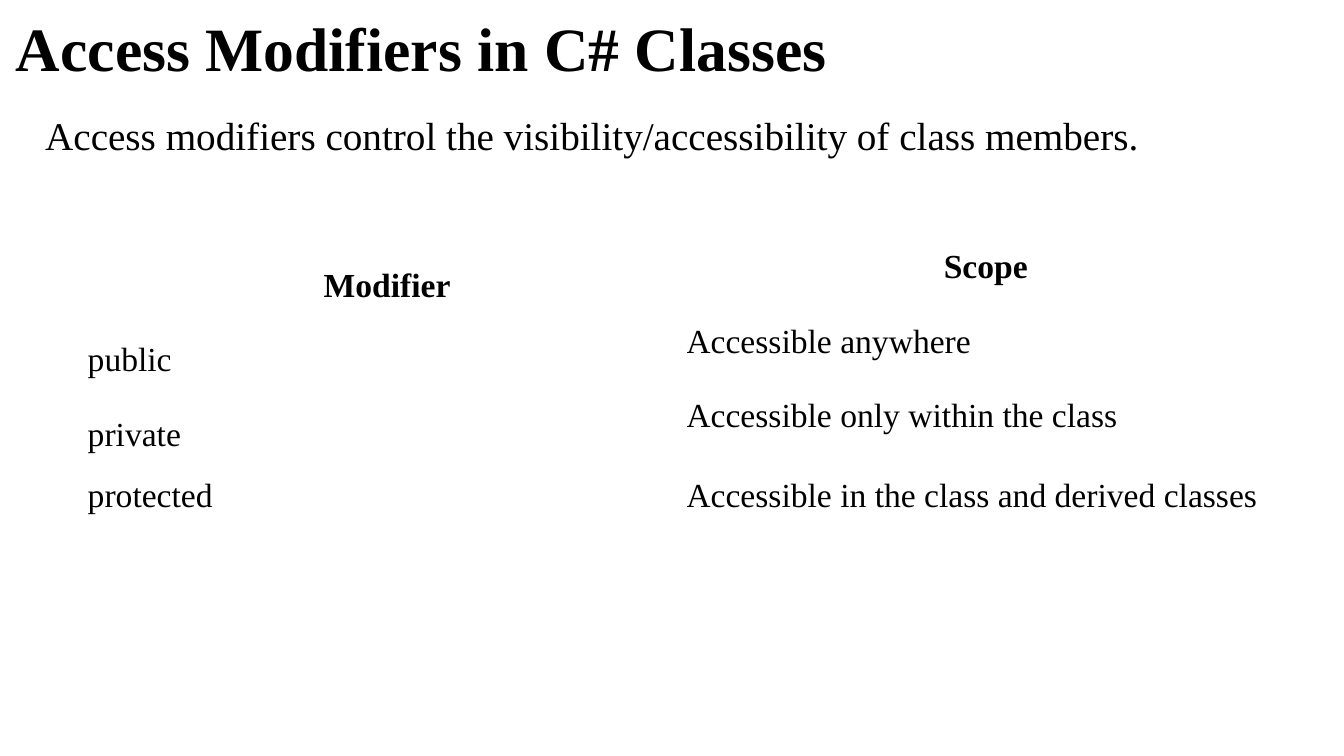
from dataclasses import dataclass

from pptx import Presentation
from pptx.dml.color import RGBColor
from pptx.enum.text import MSO_ANCHOR, PP_ALIGN
from pptx.util import Pt

TOP, MIDDLE = MSO_ANCHOR.TOP, MSO_ANCHOR.MIDDLE
LEFT, CENTER = PP_ALIGN.LEFT, PP_ALIGN.CENTER


@dataclass(frozen=True)
class Theme:
    font: str = "Times New Roman"
    ink: RGBColor = RGBColor(0, 0, 0)
    title: int = 44
    body: int = 28
    cell: int = 24


ROWS = [
    ("Modifier", "Scope"),
    ("public", "Accessible anywhere"),
    ("private", "Accessible only within the class"),
    ("protected", "Accessible in the class and derived classes"),
]
EMPTY_ROWS = 3
TALL_ROWS = 3
TALL, SHORT = 53.1, 34.56


class SlideBuilder:
    def __init__(self, slide, theme):
        self.slide = slide
        self.theme = theme

    def add_text(self, tf, text, *, size, bold=False, align=LEFT, spacing=1.0):
        p = tf.paragraphs[0]
        p.alignment = align
        p.line_spacing = spacing
        r = p.add_run()
        r.text = text
        r.font.name = self.theme.font
        r.font.size = Pt(size)
        r.font.bold = bold
        r.font.color.rgb = self.theme.ink

    def text_box(self, text, left, top, width, height, *, anchor=TOP, **style):
        box = self.slide.shapes.add_textbox(Pt(left), Pt(top), Pt(width), Pt(height))
        tf = box.text_frame
        tf.word_wrap = True
        tf.vertical_anchor = anchor
        self.add_text(tf, text, spacing=0.9, **style)

    def table(self, rows, left, top, width):
        """Tall rows keep the right column at the top and centre the left one."""
        heights = [TALL] * TALL_ROWS
        heights += [SHORT] * (len(rows) + EMPTY_ROWS - TALL_ROWS)
        table = self.slide.shapes.add_table(
            len(heights), 2, Pt(left), Pt(top), Pt(width), Pt(sum(heights))).table
        table.first_row = table.horz_banding = False
        for column in table.columns:
            column.width = Pt(width / 2)
        for row, height in zip(table.rows, heights):
            row.height = Pt(height)
            for cell in row.cells:
                cell.fill.background()
        for i, texts in enumerate(rows):
            for j, text in enumerate(texts):
                cell = table.cell(i, j)
                cell.margin_left = cell.margin_right = Pt(0)
                cell.margin_top = cell.margin_bottom = Pt(0)
                cell.vertical_anchor = TOP if j == 1 and i < TALL_ROWS else MIDDLE
                self.add_text(cell.text_frame, text, size=self.theme.cell,
                              bold=i == 0, align=CENTER if i == 0 else LEFT)


def main():
    prs = Presentation()
    prs.slide_width, prs.slide_height = Pt(960), Pt(540)
    theme = Theme()
    s = SlideBuilder(prs.slides.add_slide(prs.slide_layouts[6]), theme)
    s.text_box("Access Modifiers in C# Classes", 4.3, 5, 828, 63.4,
               anchor=MIDDLE, size=theme.title, bold=True)
    s.text_box("Access modifiers control the visibility/accessibility of class members.",
               25.2, 80, 921.6, 440, size=theme.body)
    s.table(ROWS, 62.64, 177.84, 855.36)
    prs.save("out.pptx")


if __name__ == "__main__":
    main()
